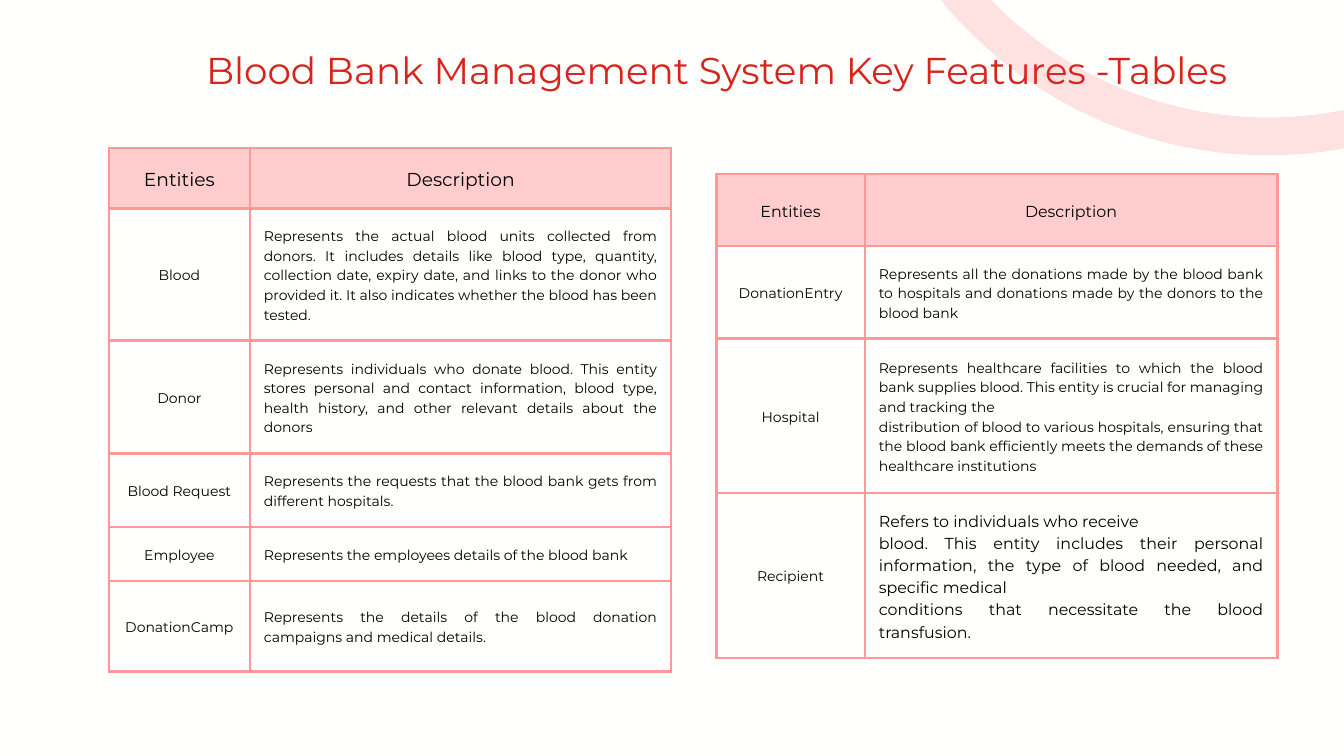
from lxml import etree
from pptx import Presentation
from pptx.dml.color import RGBColor
from pptx.enum.shapes import MSO_SHAPE
from pptx.enum.text import MSO_ANCHOR, PP_ALIGN
from pptx.oxml import parse_xml
from pptx.oxml.ns import nsdecls, qn
from pptx.util import Pt

CENTER, JUSTIFY = PP_ALIGN.CENTER, PP_ALIGN.JUSTIFY
MIDDLE = MSO_ANCHOR.MIDDLE
OVAL = MSO_SHAPE.OVAL
FONT = "Montserrat"
INSET = Pt(15)


def rgb(value):
    return RGBColor.from_string(value)


def write(tf, text, size, color, align):
    """Set one paragraph per line, with line spacing of 1.4 times the size."""
    tf.text = text
    for p in tf.paragraphs:
        p.alignment = align
        p.line_spacing = Pt(size * 1.4)
        for r in p.runs:
            r.font.name = FONT
            r.font.size = Pt(size)
            r.font.color.rgb = rgb(color)


prs = Presentation()
prs.slide_width, prs.slide_height = Pt(1440), Pt(810)
s = prs.slides.add_slide(prs.slide_layouts[6])
s.background.fill.solid()
s.background.fill.fore_color.rgb = rgb("FFFFFE")

# Title
title = s.shapes.add_textbox(Pt(205.2), Pt(42.5), Pt(1125.4), Pt(53.3))
tf = title.text_frame
tf.word_wrap = True
tf.margin_left = tf.margin_right = tf.margin_top = tf.margin_bottom = 0
write(tf, "Blood Bank Management System Key Features -Tables", 40, "D8251C", CENTER)

# Translucent ring in the top right corner
ring = s.shapes.add_shape(OVAL, Pt(926), Pt(-719.3), Pt(865.4), Pt(865.4))
ring.shadow.inherit = False
ring.fill.background()
ring.line.width = Pt(40.5)
ring.line.color.rgb = rgb("F9232C")
color = ring.line._get_or_add_ln().find(".//" + qn("a:srgbClr"))
etree.SubElement(color, qn("a:alpha"), val="12000")

# Entity tables: left, top, column widths, row heights, header size, rows.
# A row is (entity, description, description size).
tables = [
    (116.6, 158.4, (151.2, 451.4), (64.8, 141.8, 121, 78.5, 58.3, 96.5), 20, [
        ("Blood", "Represents the actual blood units collected from donors. It includes "
         "details like blood type, quantity, collection date, expiry date, and links to "
         "the donor who provided it. It also indicates whether the blood has been tested.", 15),
        ("Donor", "Represents individuals who donate blood. This entity stores personal and "
         "contact information, blood type, health history, and other relevant details "
         "about the donors", 15),
        ("Blood Request", "Represents the requests that the blood bank gets from different "
         "hospitals.", 15),
        ("Employee", "Represents the employees details of the blood bank", 15),
        ("DonationCamp", "Represents the details of the blood donation campaigns and "
         "medical details.", 15),
    ]),
    (767.5, 186.5, (159.1, 442.1), (77, 99.4, 165.6, 176.4), 17, [
        ("DonationEntry", "Represents all the donations made by the blood bank to hospitals "
         "and donations made by the donors to the blood bank", 15),
        ("Hospital", "Represents healthcare facilities to which the blood bank supplies "
         "blood. This entity is crucial for managing and tracking the\n"
         "distribution of blood to various hospitals, ensuring that the blood bank "
         "efficiently meets the demands of these healthcare institutions", 15),
        ("Recipient", "Refers to individuals who receive\n"
         "blood. This entity includes their personal information, the type of blood "
         "needed, and specific medical\n"
         "conditions that necessitate the blood transfusion.", 17),
    ]),
]

for left, top, widths, heights, header_size, entities in tables:
    table = s.shapes.add_table(len(heights), len(widths), Pt(left), Pt(top),
                               Pt(sum(widths)), Pt(sum(heights))).table
    for column, width in zip(table.columns, widths):
        column.width = Pt(width)
    for row, height in zip(table.rows, heights):
        row.height = Pt(height)

    contents = [[("Entities", header_size, CENTER), ("Description", header_size, CENTER)]]
    for entity, description, size in entities:
        contents.append([(entity, 15, CENTER), (description, size, JUSTIFY)])

    for i, row in enumerate(contents):
        for j, (text, size, align) in enumerate(row):
            cell = table.cell(i, j)
            cell.vertical_anchor = MIDDLE
            cell.margin_left = cell.margin_right = INSET
            cell.margin_top = cell.margin_bottom = INSET
            write(cell.text_frame, text, size, "000000", align)
            tcPr = cell._tc.get_or_add_tcPr()
            for side in ("lnL", "lnR", "lnT", "lnB"):
                tcPr.append(parse_xml(
                    f'<a:{side} {nsdecls("a")} w="{Pt(3)}"><a:solidFill>'
                    f'<a:srgbClr val="FF9999"/></a:solidFill></a:{side}>'))
            if i == 0:
                cell.fill.solid()
                cell.fill.fore_color.rgb = rgb("FFCDCD")
            else:
                cell.fill.background()

prs.save("out.pptx")
